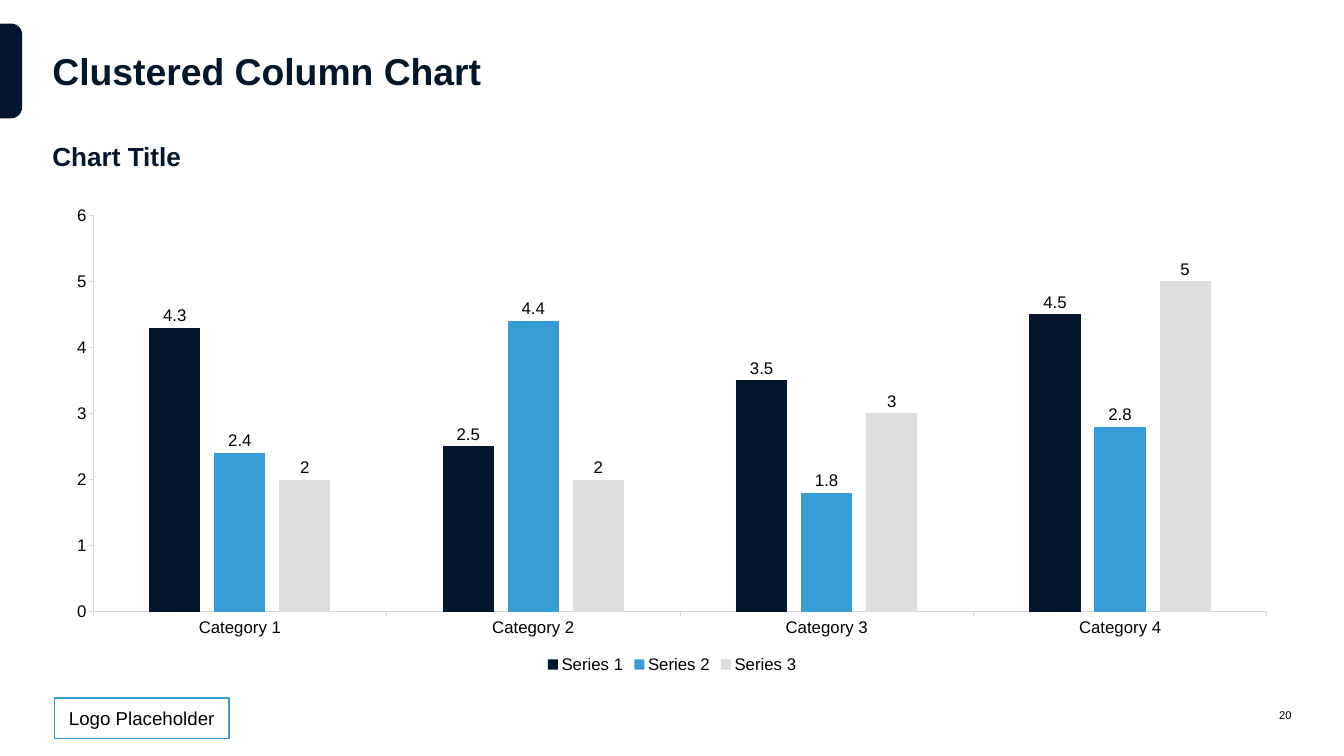
import pptx
import pptx.util
import pptx.chart.data
import pptx.dml.color
import pptx.enum.chart
import pptx.enum.shapes
import pptx.enum.text

Inches = pptx.util.Inches
Pt = pptx.util.Pt
RGBColor = pptx.dml.color.RGBColor
PP_ALIGN = pptx.enum.text.PP_ALIGN
MSO_ANCHOR = pptx.enum.text.MSO_ANCHOR
MSO_SHAPE = pptx.enum.shapes.MSO_SHAPE
XL = pptx.enum.chart

NAVY = RGBColor(0x04, 0x16, 0x2B)
BLUE = RGBColor(0x35, 0x9C, 0xD5)
GREY = RGBColor(0xDC, 0xDC, 0xDC)
AXIS = RGBColor(0xD9, 0xD9, 0xD9)
BLACK = RGBColor(0, 0, 0)
WHITE = RGBColor(0xFF, 0xFF, 0xFF)

MARGIN, CONTENT_W = 0.78, 18.44
CATEGORIES = ["Category 1", "Category 2", "Category 3", "Category 4"]
SERIES = [
    ("Series 1", (4.3, 2.5, 3.5, 4.5), NAVY),
    ("Series 2", (2.4, 4.4, 1.8, 2.8), BLUE),
    ("Series 3", (2, 2, 3, 5), GREY),
]


def style_font(font, size, color=BLACK, bold=False):
    """Set the typeface, size, colour and weight of a font."""
    font.name = "Arial"
    font.size = Pt(size)
    font.color.rgb = color
    font.bold = bold


def add_text(slide, box, text, size, color=BLACK, bold=False,
             align=PP_ALIGN.LEFT, anchor=MSO_ANCHOR.MIDDLE):
    """Add a one-paragraph text box without insets."""
    tf = slide.shapes.add_textbox(*map(Inches, box)).text_frame
    tf.word_wrap = True
    tf.margin_left = tf.margin_right = tf.margin_top = tf.margin_bottom = 0
    tf.vertical_anchor = anchor
    p = tf.paragraphs[0]
    p.text = text
    p.alignment = align
    style_font(p.font, size, color, bold)


def add_side_tab(slide, box):
    """Add the edge tab, rounded on its right side, filling the box."""
    x, y, w, h = box
    s = slide.shapes.add_shape(
        MSO_SHAPE.ROUND_2_SAME_RECTANGLE,
        Inches(x + (w - h) / 2), Inches(y + (h - w) / 2), Inches(h), Inches(w))
    s.rotation = 90
    s.adjustments[0] = 0.5
    s.shadow.inherit = False
    s.fill.solid()
    s.fill.fore_color.rgb = NAVY
    s.line.fill.background()


def add_logo_box(slide, box):
    """Add the outlined box that reserves space for a logo."""
    s = slide.shapes.add_shape(MSO_SHAPE.RECTANGLE, *map(Inches, box))
    s.shadow.inherit = False
    s.fill.solid()
    s.fill.fore_color.rgb = WHITE
    s.line.color.rgb = BLUE
    s.line.width = Pt(1.5)
    tf = s.text_frame
    tf.vertical_anchor = MSO_ANCHOR.MIDDLE
    p = tf.paragraphs[0]
    p.text = "Logo Placeholder"
    p.alignment = PP_ALIGN.CENTER
    style_font(p.font, 20)


def style_axis(axis):
    """Give an axis a light line, outside ticks and no gridlines."""
    axis.has_major_gridlines = False
    axis.major_tick_mark = XL.XL_TICK_MARK.OUTSIDE
    axis.minor_tick_mark = XL.XL_TICK_MARK.NONE
    axis.format.line.color.rgb = AXIS
    axis.format.line.width = Pt(0.75)
    style_font(axis.tick_labels.font, 18)


def add_column_chart(slide, box):
    """Add the clustered column chart with value labels and a legend."""
    data = pptx.chart.data.CategoryChartData()
    data.categories = CATEGORIES
    for name, values, _ in SERIES:
        data.add_series(name, values)
    chart = slide.shapes.add_chart(
        XL.XL_CHART_TYPE.COLUMN_CLUSTERED, *map(Inches, box), data).chart
    style_font(chart.font, 18)
    chart.has_title = False
    chart.has_legend = True
    chart.legend.position = XL.XL_LEGEND_POSITION.BOTTOM
    chart.legend.include_in_layout = False
    style_font(chart.legend.font, 18)
    style_axis(chart.category_axis)
    style_axis(chart.value_axis)
    chart.value_axis.minimum_scale = 0
    chart.value_axis.maximum_scale = 6
    chart.value_axis.major_unit = 1

    plot = chart.plots[0]
    plot.gap_width = 219
    plot.overlap = -27
    plot.vary_by_categories = False
    for series, (_, _, color) in zip(plot.series, SERIES):
        series.format.fill.solid()
        series.format.fill.fore_color.rgb = color
        labels = series.data_labels
        labels.show_value = True
        labels.position = XL.XL_LABEL_POSITION.OUTSIDE_END
        style_font(labels.font, 18)


def add_header(slide, box):
    """Add the slide title and the chart title below it."""
    x, y, w, h = box
    add_text(slide, (x, y, w, 1.39), "Clustered Column Chart", 40, NAVY, True)
    add_text(slide, (x, y + h - 0.47, w, 0.47), "Chart Title", 28, NAVY, True,
             anchor=MSO_ANCHOR.BOTTOM)


def add_footer(slide, box):
    """Add the logo box at the left and the page number at the right."""
    x, y, w, h = box
    add_logo_box(slide, (x + 0.03, y, 2.6, h))
    add_text(slide, (x + w - 0.88, y, 0.88, 0.51), "20", 12,
             align=PP_ALIGN.RIGHT)


def main():
    """Build the slide and save it."""
    prs = pptx.Presentation()
    prs.slide_width = Inches(20)
    prs.slide_height = Inches(11.25)
    slide = prs.slides.add_slide(prs.slide_layouts[6])
    add_side_tab(slide, (0, 0.35, 0.33, 1.41))
    add_header(slide, (MARGIN, 0.35, CONTENT_W, 2.21))
    add_column_chart(slide, (MARGIN, 2.92, CONTENT_W, 7.16))
    add_footer(slide, (MARGIN, 10.39, CONTENT_W, 0.6))
    prs.save("out.pptx")


if __name__ == "__main__":
    main()
